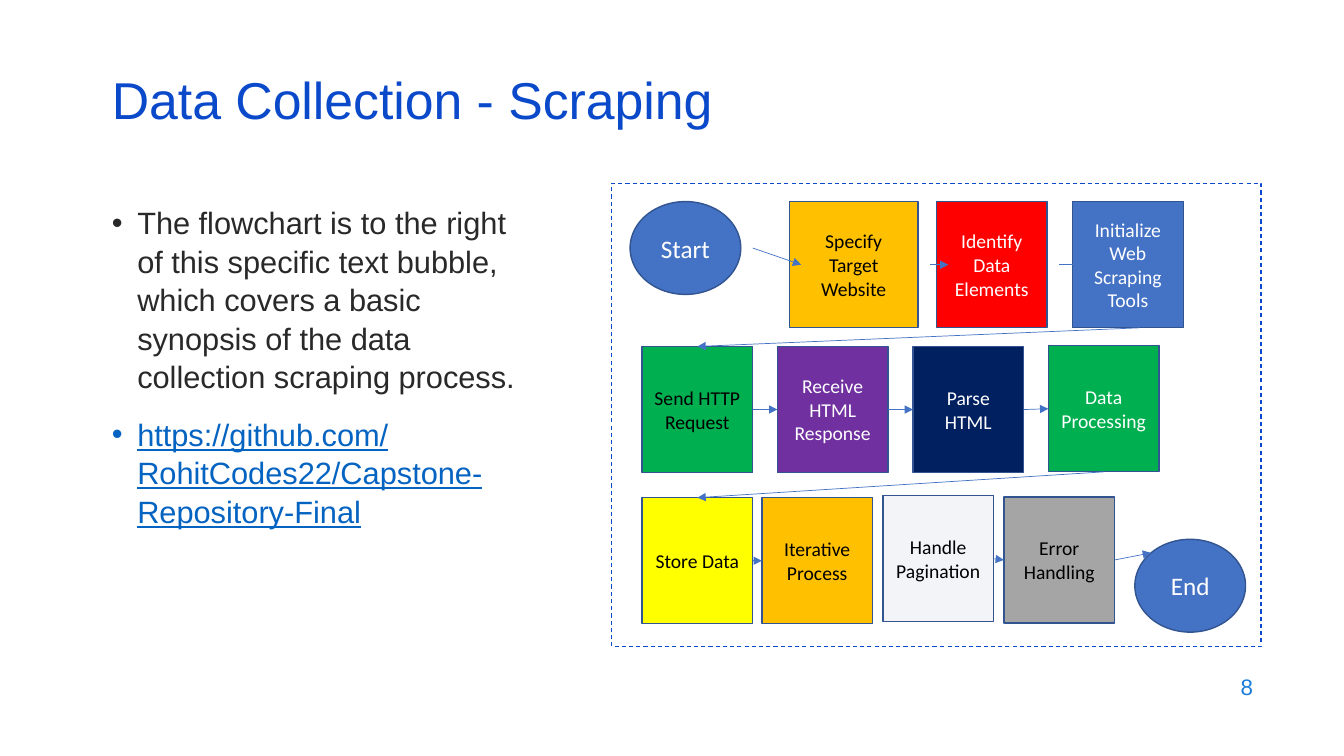
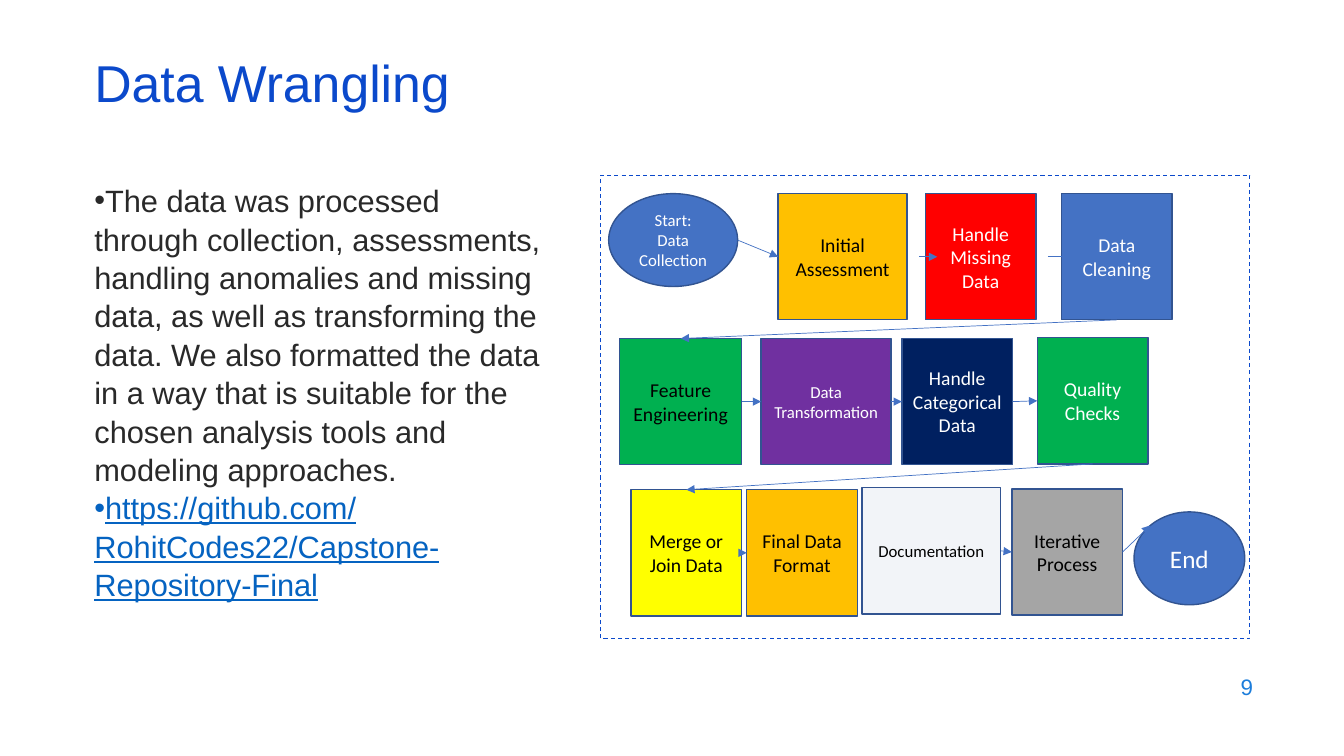
from lxml import etree
from pptx import Presentation
from pptx.dml.color import RGBColor
from pptx.enum.dml import MSO_LINE
from pptx.enum.shapes import MSO_CONNECTOR, MSO_SHAPE
from pptx.enum.text import MSO_ANCHOR, PP_ALIGN
from pptx.oxml.ns import qn
from pptx.util import Cm, Pt

MIDDLE, TOP = MSO_ANCHOR.MIDDLE, MSO_ANCHOR.TOP
LEFT, CENTER, RIGHT = PP_ALIGN.LEFT, PP_ALIGN.CENTER, PP_ALIGN.RIGHT
OVAL, RECTANGLE = MSO_SHAPE.OVAL, MSO_SHAPE.RECTANGLE
STRAIGHT, DASH = MSO_CONNECTOR.STRAIGHT, MSO_LINE.DASH

TITLE_BLUE, NUMBER_BLUE, LINK_BLUE = "0B49CB", "1C7DDB", "0563C1"
STEP_BLUE, STEP_EDGE = "4472C4", "325491"
BODY_GREY, BLACK, WHITE = "292929", "000000", "FFFFFF"

TITLE_PARAGRAPH = {"alignment": LEFT, "line_spacing": 0.7}
BODY_PARAGRAPH = {"alignment": LEFT, "line_spacing": 1.045}
NUMBER_PARAGRAPH = {"alignment": RIGHT}
STEP_PARAGRAPH = {"alignment": CENTER}
TITLE_FONT = {"name": "Arial", "size": Pt(37)}
BODY_FONT = {"name": "Arial", "size": Pt(22)}
NUMBER_FONT = {"name": "Arial", "size": Pt(16)}

FRAME_WIDTH, FRAME_HEIGHT = 16.36, 11.68
STEP_WIDTH, STEP_HEIGHT, OVAL_HEIGHT = 2.79, 3.18, 2.34
OVAL_CORNER = 0.146
ROW_ENDS = (3, 7)
UNLINKED = 9

STEP_STYLES = [
    (0.46, STEP_BLUE, WHITE),
    (0.46, "FFC000", BLACK),
    (0.46, "FF0000", WHITE),
    (0.46, STEP_BLUE, WHITE),
    (4.11, "00B050", BLACK),
    (4.11, "7030A0", WHITE),
    (4.11, "002060", WHITE),
    (4.09, "00B050", WHITE),
    (7.92, "FFFF00", BLACK),
    (7.92, "FFC000", BLACK),
    (7.87, "F2F4F8", BLACK),
    (7.9, "A5A5A5", BLACK),
    (None, STEP_BLUE, WHITE),
]

REPOSITORY = "https://github.com/RohitCodes22/Capstone-Repository-Final"

PAGES = [
    {
        "number": "8",
        "title": "Data Collection - Scraping",
        "title_at": (2.57, 1.93),
        "body": "The flowchart is to the right of this specific text bubble, which covers "
                "a basic synopsis of the data collection scraping process.",
        "body_box": (2.57, 4.98, 10.92, 12.14),
        "hanging": 0.64,
        "gap": 14,
        "frame_at": (15.42, 4.62),
        "nudges": (0.3, 0.3, 0.3, 0.3),
        "end_top": 8.97,
        "steps": [
            ("Start", 0.46, STEP_WIDTH, 18),
            ("Specify Target Website", 4.47, 3.25, 14),
            ("Identify Data Elements", 8.18, STEP_WIDTH, 14),
            ("Initialize Web Scraping Tools", 11.61, STEP_WIDTH, 14),
            ("Send HTTP Request", 0.76, STEP_WIDTH, 14),
            ("Receive HTML Response", 4.17, STEP_WIDTH, 14),
            ("Parse HTML", 7.59, STEP_WIDTH, 14),
            ("Data Processing", 11, STEP_WIDTH, 14),
            ("Store Data", 0.76, STEP_WIDTH, 14),
            ("Iterative Process", 3.78, STEP_WIDTH, 14),
            ("Handle Pagination", 6.83, STEP_WIDTH, 14),
            ("Error Handling", 9.88, STEP_WIDTH, 14),
            ("End", 13.18, STEP_WIDTH, 18),
        ],
    },
    {
        "number": "9",
        "title": "Data Wrangling",
        "title_at": (2.13, 1.5),
        "body": "The data was processed through collection, assessments, handling anomalies "
                "and missing data, as well as transforming the data. We also formatted the data "
                "in a way that is suitable for the chosen analysis tools and modeling approaches.",
        "body_box": (2.13, 4.42, 11.94, 12.09),
        "hanging": 0,
        "gap": 0,
        "frame_at": (15.14, 4.42),
        "nudges": (0, 0.3, 0.3, 0),
        "end_top": 8.48,
        "steps": [
            ("Start: Data Collection", 0.2, 3.25, 12),
            ("Initial Assessment", 4.47, 3.25, 14),
            ("Handle Missing Data", 8.18, STEP_WIDTH, 14),
            ("Data Cleaning", 11.61, STEP_WIDTH, 14),
            ("Feature Engineering", 0.48, 3.07, 14),
            ("Data Transformation", 4.04, 3.28, 12),
            ("Handle Categorical Data", 7.59, STEP_WIDTH, 14),
            ("Quality Checks", 11, STEP_WIDTH, 14),
            ("Merge or Join Data", 0.76, STEP_WIDTH, 14),
            ("Final Data Format", 3.68, STEP_WIDTH, 14),
            ("Documentation", 6.58, 3.5, 12),
            ("Iterative Process", 10.36, STEP_WIDTH, 14),
            ("End", 13.44, STEP_WIDTH, 18),
        ],
    },
]


def colour(hex_value):
    return RGBColor.from_string(hex_value)


def write(shape, lines, anchor, paragraph_format, font_format):
    frame = shape.text_frame
    frame.word_wrap = True
    frame.vertical_anchor = anchor
    for index, (text, hex_value) in enumerate(lines):
        paragraph = frame.add_paragraph() if index else frame.paragraphs[0]
        for attribute, value in paragraph_format.items():
            setattr(paragraph, attribute, value)
        run = paragraph.add_run()
        run.text = text
        for attribute, value in font_format.items():
            setattr(run.font, attribute, value)
        run.font.color.rgb = colour(hex_value)
    return frame.paragraphs


deck = Presentation()
deck.slide_width, deck.slide_height = Cm(33.87), Cm(19.05)

for page in PAGES:
    slide = deck.slides.add_slide(deck.slide_layouts[6])

    number = slide.shapes.add_textbox(Cm(24.21), Cm(16.74), Cm(7.62), Cm(1.12))
    write(number, [(page["number"], NUMBER_BLUE)], MIDDLE, NUMBER_PARAGRAPH, NUMBER_FONT)

    body = slide.shapes.add_textbox(*map(Cm, page["body_box"]))
    lines = [(page["body"], BODY_GREY), (REPOSITORY, LINK_BLUE)]
    summary, link = write(body, lines, TOP, BODY_PARAGRAPH, BODY_FONT)
    link.space_before = Pt(page["gap"])
    link.runs[0].font.underline = True
    for paragraph in (summary, link):
        properties = paragraph._p.get_or_add_pPr()
        properties.set("marL", str(Cm(page["hanging"])))
        properties.set("indent", str(-Cm(page["hanging"])))
        etree.SubElement(properties, qn("a:buFont"), typeface="Arial")
        etree.SubElement(properties, qn("a:buChar"), char="•")

    title = slide.shapes.add_textbox(*map(Cm, page["title_at"]), Cm(29.21), Cm(1.52))
    write(title, [(page["title"], TITLE_BLUE)], MIDDLE, TITLE_PARAGRAPH, TITLE_FONT)

    flowchart = slide.shapes.add_group_shape().shapes
    frame_left, frame_top = page["frame_at"]
    border = flowchart.add_shape(
        RECTANGLE, Cm(frame_left), Cm(frame_top), Cm(FRAME_WIDTH), Cm(FRAME_HEIGHT))
    border.shadow.inherit = False
    border.fill.background()
    border.line.color.rgb = colour(TITLE_BLUE)
    border.line.width = Pt(0.75)
    border.line.dash_style = DASH

    boxes = []
    last = len(page["steps"]) - 1
    for index, (step, style) in enumerate(zip(page["steps"], STEP_STYLES)):
        text, offset, width, size = step
        row_top, fill, ink = style
        is_terminal = index in (0, last)
        left = frame_left + offset
        top = frame_top + (page["end_top"] if index == last else row_top)
        height = OVAL_HEIGHT if is_terminal else STEP_HEIGHT
        box = flowchart.add_shape(
            OVAL if is_terminal else RECTANGLE, Cm(left), Cm(top), Cm(width), Cm(height))
        box.shadow.inherit = False
        box.fill.solid()
        box.fill.fore_color.rgb = colour(fill)
        box.line.color.rgb = colour(STEP_EDGE)
        box.line.width = Pt(1)
        write(box, [(text, ink)], MIDDLE, STEP_PARAGRAPH, {"name": "Calibri", "size": Pt(size)})
        boxes.append((left, top, width, height))

    for index, (source, target) in enumerate(zip(boxes, boxes[1:])):
        if index == UNLINKED:
            continue
        left, top, width, height = source
        next_left, next_top, next_width, next_height = target
        nudge = page["nudges"][index] if index < len(page["nudges"]) else 0
        if index in ROW_ENDS:
            start = (left + width / 2 + nudge, top + height)
            end = (next_left + next_width / 2, next_top)
        else:
            start = (left + width + nudge, top + height / 2)
            end = (next_left + nudge, next_top + next_height / 2)
        if index + 1 == last:
            end = (next_left + OVAL_CORNER * next_width, next_top + OVAL_CORNER * next_height)
        arrow = flowchart.add_connector(STRAIGHT, *map(Cm, start + end))
        arrow.line.color.rgb = colour(STEP_BLUE)
        arrow.line.width = Pt(0.5)
        etree.SubElement(arrow.line._get_or_add_ln(), qn("a:tailEnd"), type="triangle")
        etree.SubElement(arrow._element.spPr, qn("a:effectLst"))

deck.save("out.pptx")
